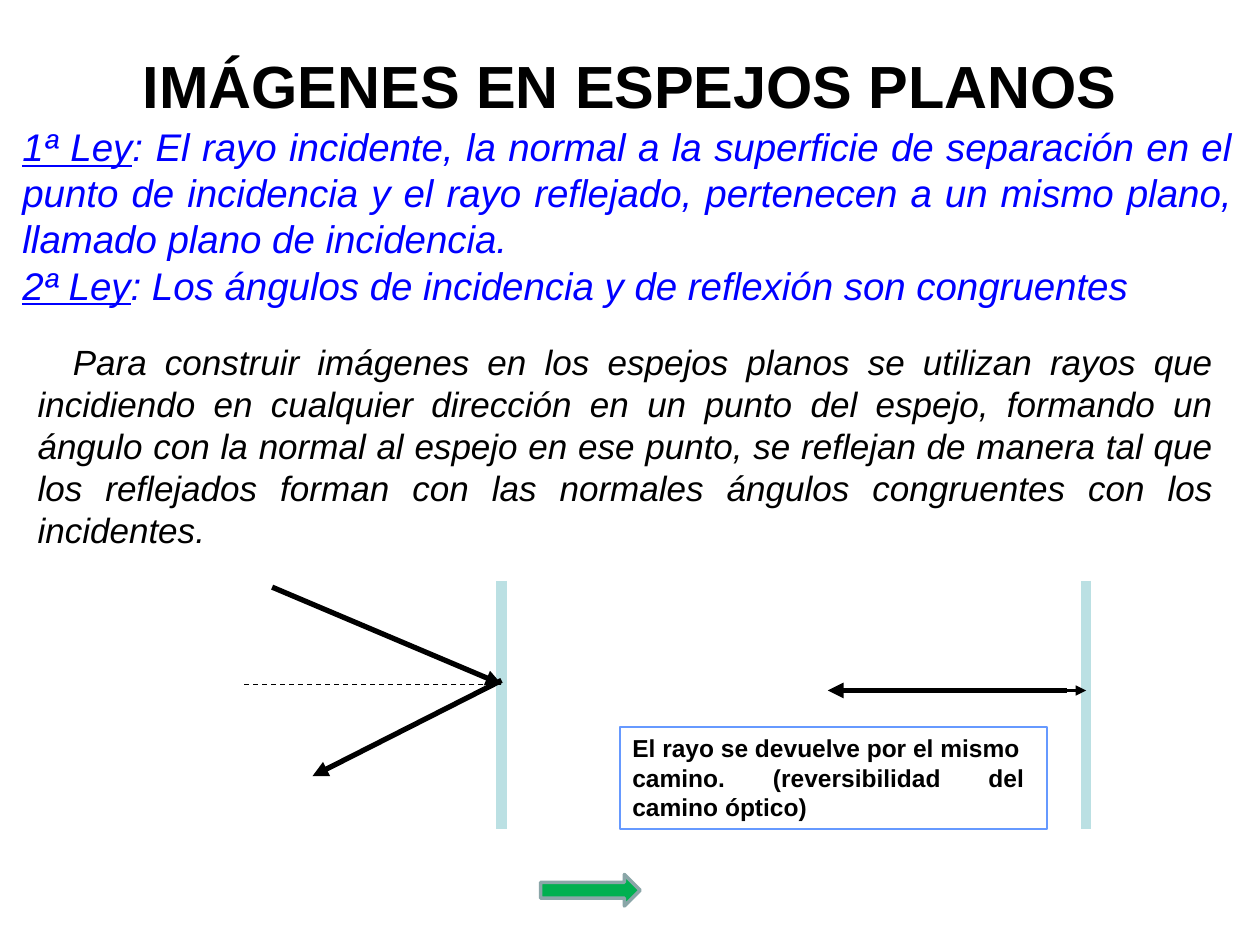
from lxml import etree
from pptx import Presentation
from pptx.dml.color import RGBColor
from pptx.enum.dml import MSO_LINE
from pptx.enum.shapes import MSO_CONNECTOR, MSO_SHAPE
from pptx.enum.text import MSO_ANCHOR, PP_ALIGN
from pptx.oxml.ns import qn
from pptx.util import Inches, Pt

BLACK = RGBColor(0x00, 0x00, 0x00)
BLUE = RGBColor(0x00, 0x00, 0xFF)
FRAME_BLUE = RGBColor(0x66, 0x99, 0xFF)
MIRROR_TEAL = RGBColor(0xBB, 0xE0, 0xE3)
GREEN = RGBColor(0x00, 0xB0, 0x50)
GREY_TEAL = RGBColor(0x8A, 0xA6, 0xA8)
CENTER, JUSTIFY = PP_ALIGN.CENTER, PP_ALIGN.JUSTIFY
TOP, MIDDLE = MSO_ANCHOR.TOP, MSO_ANCHOR.MIDDLE
STRAIGHT = MSO_CONNECTOR.STRAIGHT
DASH = MSO_LINE.DASH

# Content: each paragraph is a list of (text, underlined) spans
TITLE = [[("IMÁGENES EN ESPEJOS PLANOS", False)]]
LAWS = [
    [("1ª Ley", True),
     (": El rayo incidente, la normal a la superficie de separación en el punto "
      "de incidencia y el rayo reflejado, pertenecen a un mismo plano, llamado "
      "plano de incidencia.", False)],
    [("2ª Ley", True),
     (": Los ángulos de incidencia y de reflexión son congruentes", False)],
]
METHOD = [[(
    "Para construir imágenes en los espejos planos se utilizan rayos que "
    "incidiendo en cualquier dirección en un punto del espejo, formando un ángulo "
    "con la normal al espejo en ese punto, se reflejan de manera tal que los "
    "reflejados forman con las normales ángulos congruentes con los incidentes.",
    False)]]
NOTE = [
    [("El rayo se devuelve por el mismo", False)],
    [("camino. (reversibilidad del camino óptico)", False)],
]

# Diagram geometry in inches
MIRROR_TOP, MIRROR_BOTTOM = 4.61, 6.58
LEFT_MIRROR, RIGHT_MIRROR = 3.98, 8.62
NORMAL_Y, RETURN_Y = 5.43, 5.48

# Start, end, colour, width, arrowhead, dash
MIRRORS = [((x, MIRROR_TOP), (x, MIRROR_BOTTOM), MIRROR_TEAL, 6, False, None)
           for x in (LEFT_MIRROR, RIGHT_MIRROR)]
RAYS = [
    ((2.16, 4.66), (LEFT_MIRROR, NORMAL_Y), BLACK, 3, True, None),
    ((LEFT_MIRROR, NORMAL_Y), (1.93, NORMAL_Y), BLACK, 0.75, False, DASH),
    ((LEFT_MIRROR, 5.4), (2.48, 6.16), BLACK, 3, True, None),
    ((6.73, RETURN_Y), (RIGHT_MIRROR, RETURN_Y), BLACK, 1.5, True, None),
    ((8.47, RETURN_Y), (6.57, RETURN_Y), BLACK, 3, True, None),
]


def place(shape, left, top, width, height):
    shape.left, shape.top = Inches(left), Inches(top)
    shape.width, shape.height = Inches(width), Inches(height)


def write(shape, paragraphs, size, color=BLACK, bold=False, italic=False,
          align=JUSTIFY, anchor=TOP, indent=0):
    frame = shape.text_frame
    frame.word_wrap = True
    frame.vertical_anchor = anchor
    for index, spans in enumerate(paragraphs):
        para = frame.add_paragraph() if index else frame.paragraphs[0]
        para.alignment = align
        if indent:
            para._p.get_or_add_pPr().set("indent", str(Inches(indent)))
        for text, underlined in spans:
            span = para.add_run()
            span.text = text
            font = span.font
            font.name, font.size = "Arial", Pt(size)
            font.bold, font.italic = bold, italic
            font.underline = underlined
            font.color.rgb = color


def add_text(page, area, paragraphs, **style):
    box = page.shapes.add_textbox(*(Inches(value) for value in area))
    write(box, paragraphs, **style)


def add_shape(page, kind, area, line_color, line_width, fill=None):
    shape = page.shapes.add_shape(kind, *(Inches(value) for value in area))
    shape.shadow.inherit = False
    if fill is None:
        shape.fill.background()
    else:
        shape.fill.solid()
        shape.fill.fore_color.rgb = fill
    shape.line.color.rgb = line_color
    shape.line.width = Pt(line_width)
    return shape


def add_line(page, start, end, color, width, arrow, dash):
    connector = page.shapes.add_connector(
        STRAIGHT, *(Inches(value) for value in start + end))
    line = connector.line
    line.color.rgb = color
    line.width = Pt(width)
    if dash is not None:
        line.dash_style = dash
    if arrow:
        etree.SubElement(line._get_or_add_ln(), qn("a:tailEnd"), type="triangle")
    etree.SubElement(connector._element.spPr, qn("a:effectLst"))


def main():
    deck = Presentation()
    deck.slide_width, deck.slide_height = Inches(10), Inches(7.5)
    page = deck.slides.add_slide(deck.slide_layouts[5])

    # Title and text
    title = page.shapes.title
    place(title, 0.5, 0.05, 9, 1.25)
    write(title, TITLE, size=34, bold=True, align=CENTER, anchor=MIDDLE)
    add_text(page, (0.2, 2.65, 9.53, 1.73), METHOD, size=20, italic=True, indent=0.28)
    add_text(page, (0.08, 0.92, 9.8, 1.58), LAWS, size=22, color=BLUE,
             italic=True, anchor=MIDDLE)

    # Mirrors and rays
    for line in MIRRORS + RAYS:
        add_line(page, *line)

    # Note on reversibility
    note = add_shape(page, MSO_SHAPE.RECTANGLE, (4.92, 5.77, 3.39, 0.81),
                     FRAME_BLUE, 0.75)
    write(note, NOTE, size=14, bold=True)
    note.text_frame.margin_right = Inches(0.18)

    # Forward arrow
    add_shape(page, MSO_SHAPE.RIGHT_ARROW, (4.29, 6.94, 0.79, 0.25),
              GREY_TEAL, 2, fill=GREEN)

    deck.save("out.pptx")


if __name__ == "__main__":
    main()
